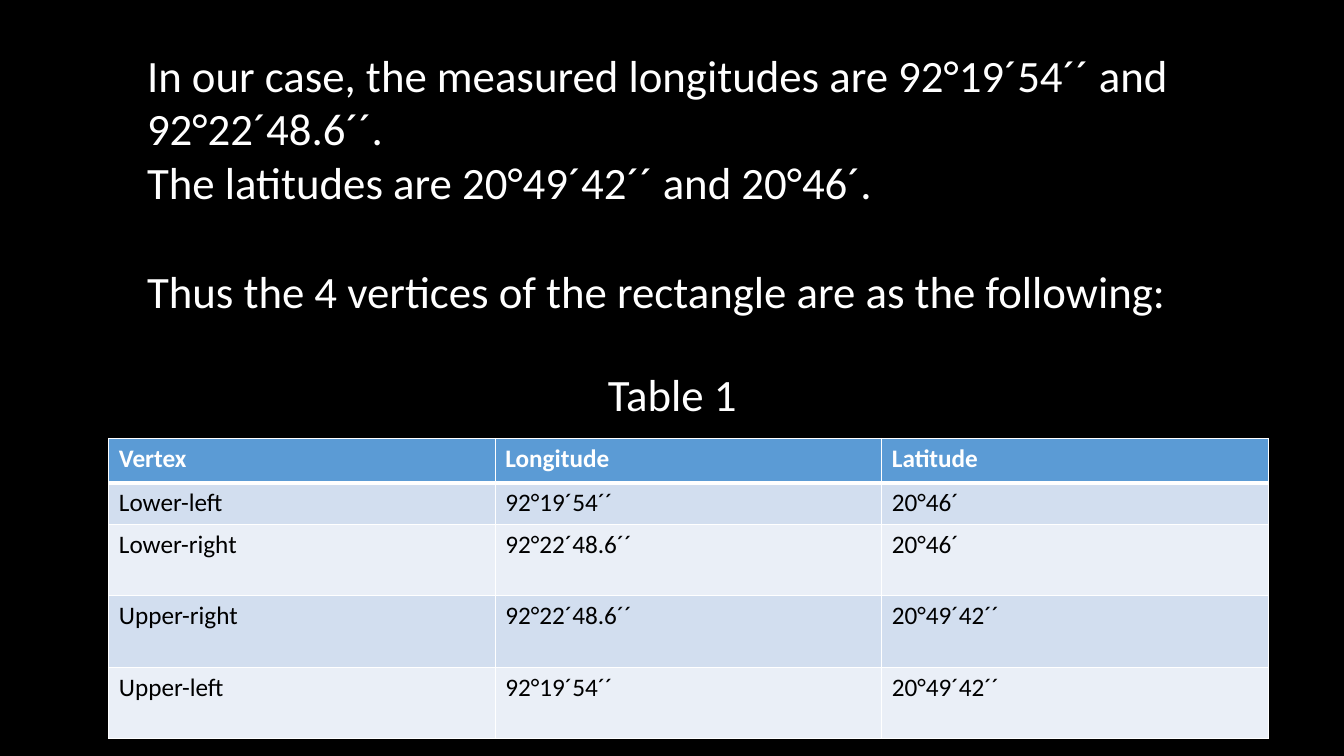
from lxml import etree
from pptx import Presentation, util as u
from pptx.dml.color import RGBColor
from pptx.oxml import ns

COLORS = {"back": "000000", "light": "FFFFFF", "dark": "000000",
          "header": "5B9BD5", "odd": "D2DEEF", "even": "EAEFF7"}
FONT = "Calibri"
WIDTH, HEIGHT = 13.33, 7.5

INTRO = [
    ("In our case, the measured longitudes are 92°19´54´´ and 92°22´48.6´´.", 0),
    ("The latitudes are 20°49´42´´ and 20°46´.", 0),
    ("Thus the 4 vertices of the rectangle are as the following:", 39),
]
CAPTION = [("Table 1", 0)]
TEXTS = [(INTRO, (1.36, 0.42, 11.39, 2.79)),
         (CAPTION, (5.93, 3.59, 1.87, 0.64))]

WEST, EAST = "92°19´54´´", "92°22´48.6´´"
SOUTH, NORTH = "20°46´", "20°49´42´´"
VERTICES = [
    ("Vertex", "Longitude", "Latitude"),
    ("Lower-left", WEST, SOUTH),
    ("Lower-right", EAST, SOUTH),
    ("Upper-right", EAST, NORTH),
    ("Upper-left", WEST, NORTH),
]
ROW_HEIGHTS = [0.44, 0.41] + [0.71] * 3
TABLE_LEFT, TABLE_TOP, TABLE_WIDTH = 1.08, 4.35, 11.5


def rgb(name):
    return RGBColor.from_string(COLORS[name])


def style(font, color, **values):
    font.color.rgb = rgb(color)
    for key, value in {"name": FONT, **values}.items():
        setattr(font, key, value)


def add_text(s, lines, box):
    tf = s.shapes.add_textbox(*map(u.Inches, box)).text_frame
    tf.word_wrap = True
    for i, (line, gap) in enumerate(lines):
        p = tf.add_paragraph() if i else tf.paragraphs[0]
        p.space_before = u.Pt(gap)
        r = p.add_run()
        r.text = line
        style(r.font, "light", size=u.Pt(32))


def add_borders(cell, widths):
    tcPr = cell._tc.get_or_add_tcPr()
    for side, width in widths.items():
        ln = etree.SubElement(tcPr, ns.qn(f"a:ln{side}"), w=str(u.Pt(width)))
        fill = etree.SubElement(ln, ns.qn("a:solidFill"))
        etree.SubElement(fill, ns.qn("a:srgbClr"), val=COLORS["light"])


def add_vertices(s):
    rows, cols = len(VERTICES), len(VERTICES[0])
    box = TABLE_LEFT, TABLE_TOP, TABLE_WIDTH, sum(ROW_HEIGHTS)
    table = s.shapes.add_table(rows, cols, *map(u.Inches, box)).table
    for i, (row, height) in enumerate(zip(VERTICES, ROW_HEIGHTS)):
        table.rows[i].height = u.Inches(height)
        head = i == 0
        for j, value in enumerate(row):
            cell = table.cell(i, j)
            add_borders(cell, {"L": 1, "R": 1, "T": 3 if i == 1 else 1,
                               "B": 3 if head else 1})
            cell.fill.solid()
            cell.fill.fore_color.rgb = rgb("header" if head else "odd" if i % 2 else "even")
            r = cell.text_frame.paragraphs[0].add_run()
            r.text = value
            style(r.font, "light" if head else "dark", size=u.Pt(18), bold=head)


def main():
    prs = Presentation()
    prs.slide_width, prs.slide_height = u.Inches(WIDTH), u.Inches(HEIGHT)
    s = prs.slides.add_slide(prs.slide_layouts[6])
    s.background.fill.solid()
    s.background.fill.fore_color.rgb = rgb("back")
    add_vertices(s)
    for lines, box in TEXTS:
        add_text(s, lines, box)
    prs.save("out.pptx")


if __name__ == "__main__":
    main()
